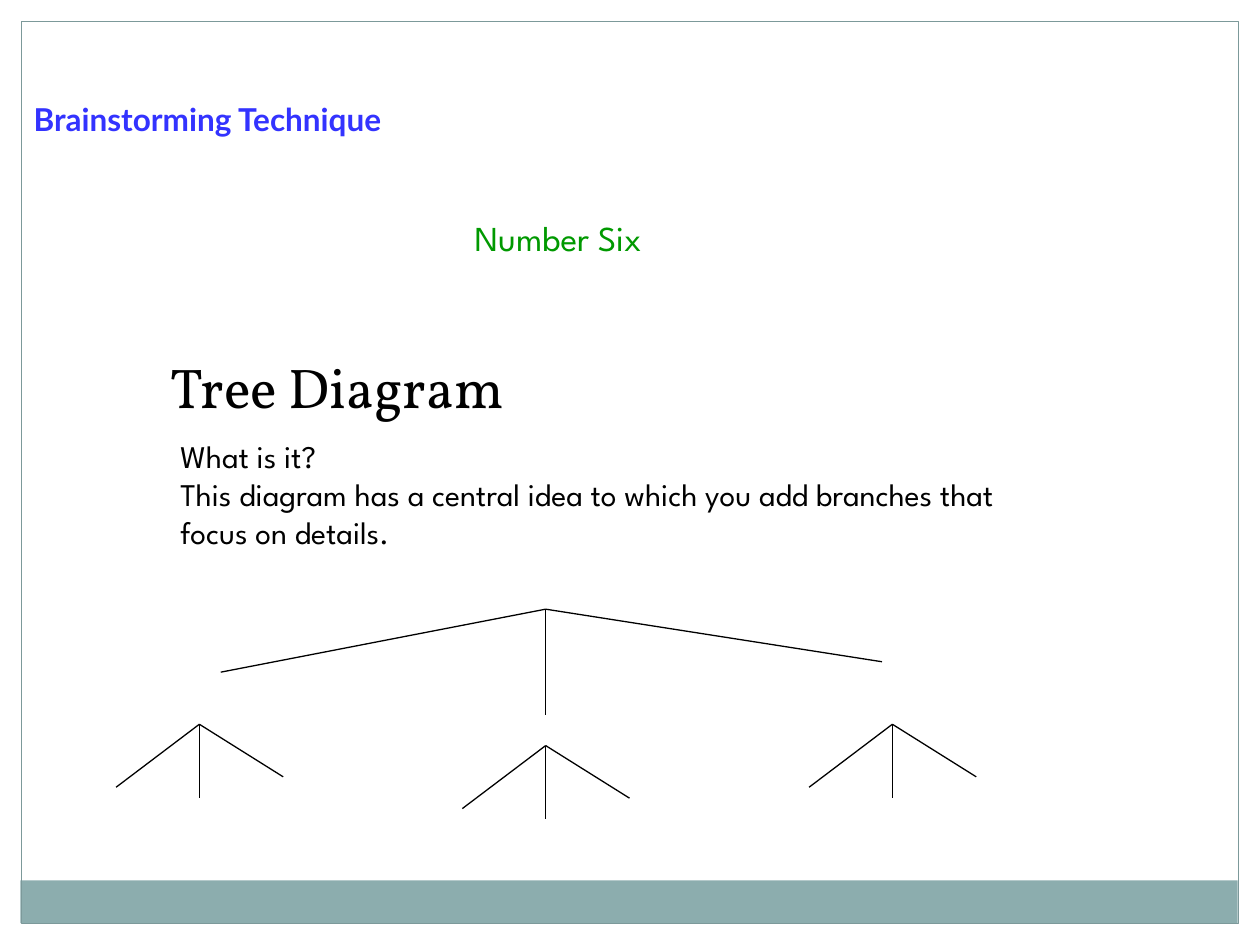
from lxml import etree
from pptx import Presentation
from pptx import util as u
from pptx.dml import color
from pptx.enum import shapes, text
from pptx.oxml import ns


def rgb(value):
    return color.RGBColor.from_string(value)


presentation = Presentation()
presentation.slide_width, presentation.slide_height = u.Cm(25.4), u.Cm(19.05)
slide = presentation.slides.add_slide(presentation.slide_layouts[1])

# Margins, footer band and page border: box in cm, fill, line
panels = [
    ((0, 0, 25.4, 0.43), "FFFFFF", None),
    ((24.97, 0, 0.43, 19.05), "FFFFFF", None),
    ((0, 0, 0.43, 19.05), "FFFFFF", None),
    ((0.41, 17.75, 24.54, 0.86), "8CADAE", None),
    ((0.43, 0.43, 24.54, 18.19), None, "7C999A"),
]
for box, fill, line in panels:
    panel = slide.shapes.add_shape(shapes.MSO_SHAPE.RECTANGLE, *map(u.Cm, box))
    panel.shadow.inherit = False
    if fill:
        panel.fill.solid()
        panel.fill.fore_color.rgb = rgb(fill)
    else:
        panel.fill.background()
    if line:
        panel.line.color.rgb = rgb(line)
        panel.line.width = u.Pt(0.75)
    else:
        panel.line.fill.background()

# Text: shape, box in cm, paragraphs, colour, font format
title, body = slide.placeholders
heading = slide.shapes.add_textbox(0, 0, 0, 0)
number = slide.shapes.add_textbox(0, 0, 0, 0)
texts = [
    (heading, (0.43, 1.9, 17.35, 1.96), ["Brainstorming Technique"], "3333FF",
     {"name": "Lato", "size": u.Pt(18), "bold": True}),
    (number, (9.32, 4.24, 8.89, 1.09), ["Number Six"], "009900",
     {"name": "League Spartan", "size": u.Pt(20)}),
    (title, (3.18, 6.98, 10.8, 1.6), ["Tree Diagram"], "000000",
     {"name": "Vollkorn", "size": u.Pt(32)}),
    (body, (3.38, 8.69, 17.78, 2.92),
     ["What is it?",
      "This diagram has a central idea to which you add branches that focus on details."],
     "000000", {"name": "League Spartan", "size": u.Pt(18)}),
]
for shape, box, lines, ink, font_format in texts:
    shape.left, shape.top, shape.width, shape.height = map(u.Cm, box)
    frame = shape.text_frame
    frame.text = "\n".join(lines)
    frame.word_wrap = True
    frame.auto_size = text.MSO_AUTO_SIZE.NONE
    frame.vertical_anchor = text.MSO_ANCHOR.TOP
    for paragraph in frame.paragraphs:
        paragraph.alignment = text.PP_ALIGN.LEFT
        paragraph.space_before = u.Pt(0)
        font = paragraph.runs[0].font
        font.color.rgb = rgb(ink)
        for attribute, value in font_format.items():
            setattr(font, attribute, value)

# Body paragraphs carry no bullet or indent
for paragraph in body.text_frame.paragraphs:
    properties = paragraph._p.get_or_add_pPr()
    properties.set("marL", "0")
    properties.set("indent", "0")
    etree.SubElement(properties, ns.qn("a:buNone"))

# Tree: one apex per group, branch tips as offsets from it in cm
trunk = [(-6.55, 1.27), (0, 2.13), (6.78, 1.06)]
twigs = [(-1.68, 1.27), (0, 1.48), (1.69, 1.06)]
branches = [
    ((11, 12.28), trunk),
    ((4.02, 14.6), twigs),
    ((17.99, 14.6), twigs),
    ((11, 15.03), twigs),
]
for (x, y), tips in branches:
    group = slide.shapes.add_group_shape()
    for dx, dy in tips:
        branch = group.shapes.add_connector(
            shapes.MSO_CONNECTOR.STRAIGHT, u.Cm(x), u.Cm(y), u.Cm(x + dx), u.Cm(y + dy))
        branch.line.color.rgb = rgb("000000")
        branch.line.width = u.Pt(0.75)
        etree.SubElement(branch._element.spPr, ns.qn("a:effectLst"))

presentation.save("out.pptx")
